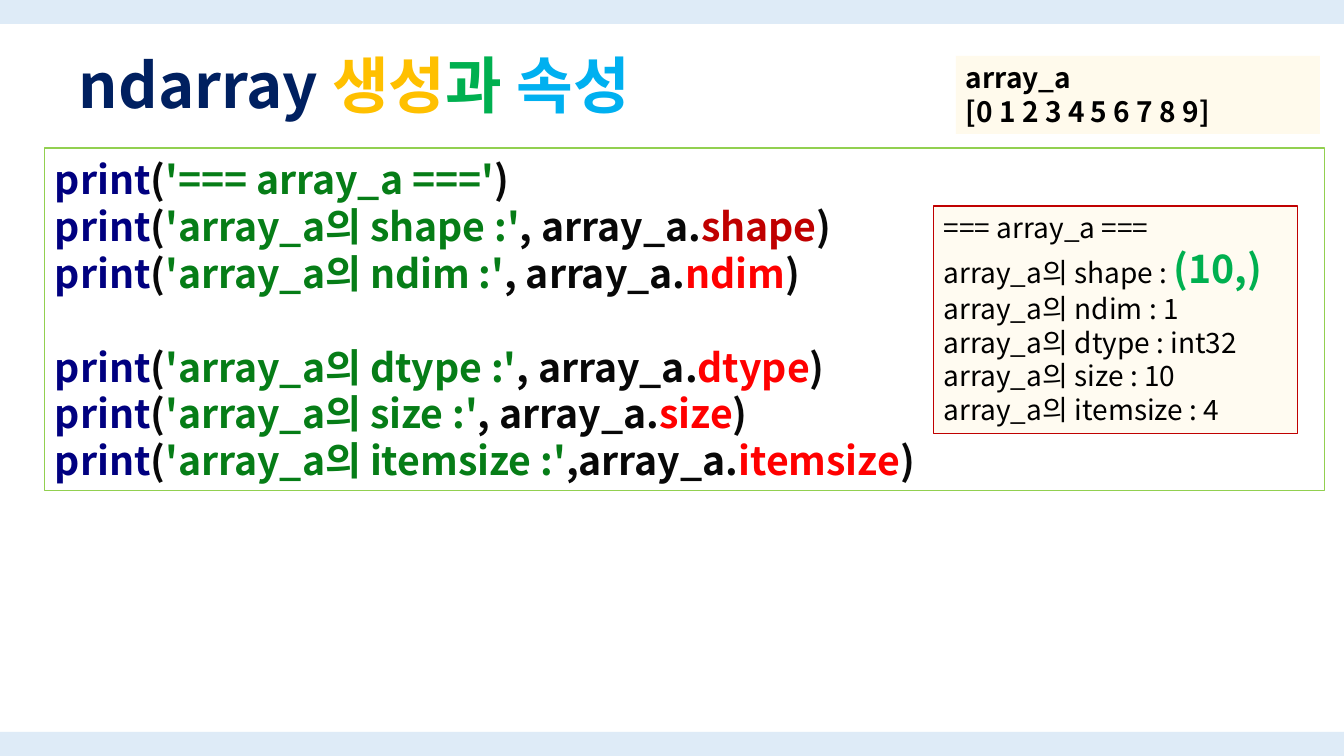
import pptx
import pptx.util
import pptx.dml.color
import pptx.enum.shapes
import pptx.enum.text
import pptx.oxml.ns
from lxml import etree

FONT = "Noto Sans CJK KR"
SCALE = 914400 / 100.8
COLORS = {
    "band": "DEEBF7", "white": "FFFFFF", "cream": "FFF2CC",
    "navy": "002060", "gold": "FFC000", "green": "00B050", "sky": "00B0F0",
    "lime": "92D050", "call": "000080", "ink": "080808", "string": "067D17",
    "wine": "C00000", "red": "FF0000", "black": "000000",
}


def px(n):
    return pptx.util.Emu(round(n * SCALE))


def rgb(name):
    return pptx.dml.color.RGBColor.from_string(COLORS[name])


def add_box(slide, area, fill=None, line=None, alpha=None, middle=False):
    kind = pptx.enum.shapes.MSO_SHAPE.RECTANGLE
    box = slide.shapes.add_shape(kind, *map(px, area))
    box.shadow.inherit = False
    if fill:
        box.fill.solid()
        box.fill.fore_color.rgb = rgb(fill)
    else:
        box.fill.background()
    if alpha:
        color = box.fill._xPr.find(".//" + pptx.oxml.ns.qn("a:srgbClr"))
        etree.SubElement(color, pptx.oxml.ns.qn("a:alpha"), val=str(alpha * 1000))
    if line:
        box.line.color.rgb = rgb(line)
        box.line.width = pptx.util.Pt(0.75)
    else:
        box.line.fill.background()
    anchor = pptx.enum.text.MSO_ANCHOR
    box.text_frame.word_wrap = True
    box.text_frame.vertical_anchor = anchor.MIDDLE if middle else anchor.TOP
    return box.text_frame


def add_run(para, text, color, size, bold):
    run = para.add_run()
    run.text = text
    font = run.font
    font.size = pptx.util.Pt(size)
    font.bold = bold
    font.color.rgb = rgb(color)
    font.name = FONT
    props = run._r.get_or_add_rPr()
    etree.SubElement(props, pptx.oxml.ns.qn("a:ea"), typeface=FONT)


def add_para(frame, lines, size, bold, lead):
    para = frame.paragraphs[0]
    if para.runs:
        para = frame.add_paragraph()
    para.alignment = pptx.enum.text.PP_ALIGN.LEFT
    para.line_spacing = lead
    for i, line in enumerate(lines):
        if i:
            para.add_line_break()
        for text, color in line:
            add_run(para, text, color, size, bold)
    return para


def code_line(label, comma=", ", color="red"):
    return [("print", "call"), ("(", "ink"),
            (f"'array_a의 {label} :'", "string"),
            (f"{comma}array_a.", "ink"), (label, color), (")", "ink")]


def add_title(slide):
    box = slide.shapes.add_textbox(*map(px, (69, 36, 1132, 105)))
    frame = box.text_frame
    frame.word_wrap = True
    frame.vertical_anchor = pptx.enum.text.MSO_ANCHOR.MIDDLE
    words = [("ndarray ", "navy"), ("생성", "gold"),
             ("과 ", "green"), ("속성", "sky")]
    add_para(frame, [words], 44, True, 0.9)


def add_code(slide):
    frame = add_box(slide, (45, 148, 1280, 343), line="lime", middle=True)
    head = [("print", "call"), ("(", "ink"),
            ("'=== array_a ==='", "string"), (")", "ink")]
    lead = pptx.util.Pt(33.5)
    first = [head, code_line("shape", color="wine"), code_line("ndim")]
    add_para(frame, first, 28, True, lead)
    rest = [code_line("dtype"), code_line("size"), code_line("itemsize", ",")]
    para = add_para(frame, rest, 28, True, lead)
    para.space_before = lead


def add_data(slide):
    frame = add_box(slide, (956, 56, 364, 78), "cream", alpha=37)
    for text in ("array_a", "[0 1 2 3 4 5 6 7 8 9]"):
        add_para(frame, [[(text, "black")]], 20, True, pptx.util.Pt(24))


def add_result(slide):
    frame = add_box(slide, (934, 206, 364, 228), "cream", "wine", 27)
    facts = {"shape": "", "ndim": "1", "dtype": "int32",
             "size": "10", "itemsize": "4"}
    lead = pptx.util.Pt(24)
    add_para(frame, [[("=== array_a ===", "black")]], 20, False, lead)
    for label, value in facts.items():
        text = f"array_a의 {label} : {value}"
        para = add_para(frame, [[(text, "black")]], 20, False, lead)
        if label == "shape":
            add_run(para, "(10,)", "green", 28, True)
            para.line_spacing = pptx.util.Pt(33.5)


def main():
    deck = pptx.Presentation()
    deck.slide_width, deck.slide_height = px(1344), px(756)
    slide = deck.slides.add_slide(deck.slide_layouts[6])
    for top in (0, 732):
        add_box(slide, (0, top, 1344, 24), "band")
    add_box(slide, (825, 33, 495, 93), "white")
    add_title(slide)
    add_code(slide)
    add_data(slide)
    add_result(slide)
    deck.save("out.pptx")


if __name__ == "__main__":
    main()
